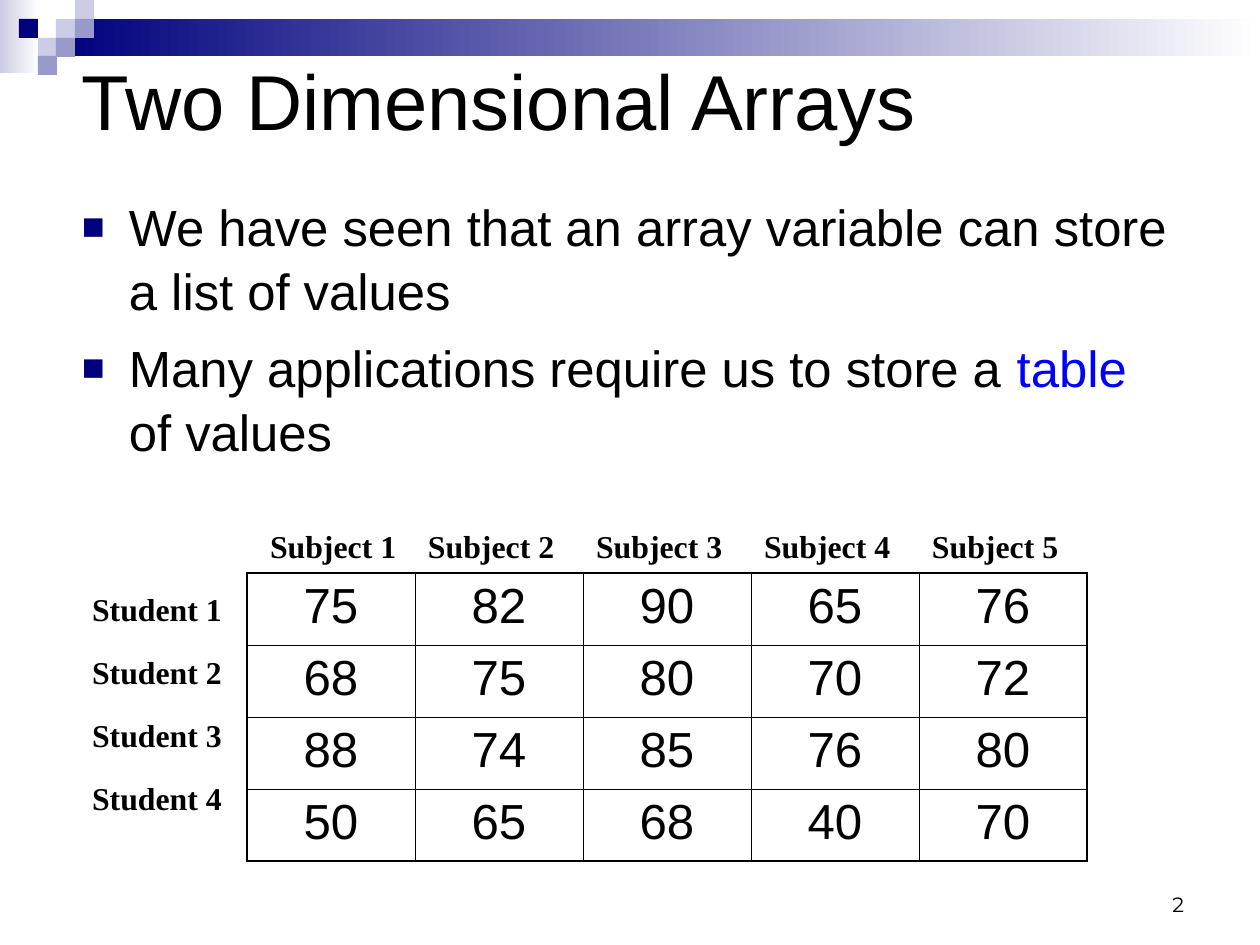
"""Build the slide that introduces two dimensional arrays with a table of marks."""
from dataclasses import dataclass

from lxml import etree
from pptx import Presentation
from pptx import util as u
from pptx.dml.color import RGBColor
from pptx.enum import shapes, text
from pptx.oxml import ns

PX = 8000
COLORS = {
    "navy": "00007D",
    "mid": "9999CC",
    "light": "CCCCE6",
    "white": "FFFFFF",
    "black": "000000",
    "blue": "0000FF",
}
TILE = 19
TILE_PITCH = 18.8
MARKS = (
    (75, 82, 90, 65, 76),
    (68, 75, 80, 70, 72),
    (88, 74, 85, 76, 80),
    (50, 65, 68, 40, 70),
)
TABLE_LEFT, TABLE_TOP, COLUMN, ROW = 247, 573, 168, 72
INNER_LINE, OUTER_LINE = 0.45, 1.08


@dataclass(frozen=True)
class Block:
    left: int
    top: int
    width: int
    height: int
    fill: str
    fade_to: str = ""


@dataclass(frozen=True)
class Caption:
    words: str
    left: int
    top: int
    width: int
    height: int
    size: int
    font: str = "Arial"
    bold: bool = False
    align: text.PP_ALIGN = text.PP_ALIGN.LEFT
    anchor: text.MSO_ANCHOR = text.MSO_ANCHOR.TOP
    spacing: float = 1.0


def px(length: int) -> u.Emu:
    return u.Emu(length * PX)


def rgb(name: str) -> RGBColor:
    return RGBColor.from_string(COLORS[name])


def tile(column: int, row: int, fill: str) -> Block:
    return Block(round(column * TILE_PITCH), round(row * TILE_PITCH), TILE, TILE, fill)


def label(words: str, left: int, top: int) -> Caption:
    return Caption(words, left, top, COLUMN, 50, 20, "Times New Roman", True)


def style(font, size: int, face: str = "Arial", bold: bool = False, color: str = "black") -> None:
    font.size = u.Pt(size)
    font.name = face
    font.bold = bold
    font.color.rgb = rgb(color)


def draw_block(slide, block: Block) -> None:
    box = slide.shapes.add_shape(
        shapes.MSO_SHAPE.RECTANGLE,
        px(block.left), px(block.top), px(block.width), px(block.height),
    )
    box.shadow.inherit = False
    box.line.fill.background()
    if block.fade_to:
        box.fill.gradient()
        box.fill.gradient_angle = 0
        for stop, color in zip(box.fill.gradient_stops, (block.fill, block.fade_to)):
            stop.color.rgb = rgb(color)
    else:
        box.fill.solid()
        box.fill.fore_color.rgb = rgb(block.fill)


def draw_caption(slide, caption: Caption):
    frame = slide.shapes.add_textbox(
        px(caption.left), px(caption.top), px(caption.width), px(caption.height)
    ).text_frame
    frame.word_wrap = True
    frame.vertical_anchor = caption.anchor
    frame.margin_left = frame.margin_right = px(13)
    frame.margin_top = frame.margin_bottom = px(7)
    frame.text = caption.words
    for paragraph in frame.paragraphs:
        paragraph.alignment = caption.align
        paragraph.line_spacing = caption.spacing
        for run in paragraph.runs:
            style(run.font, caption.size, caption.font, caption.bold)
    return frame


def add_bullet(paragraph) -> None:
    props = paragraph._p.get_or_add_pPr()
    props.set("marL", str(px(47)))
    props.set("indent", str(-px(47)))
    color = etree.SubElement(props, ns.qn("a:buClr"))
    etree.SubElement(color, ns.qn("a:srgbClr"), val=COLORS["navy"])
    etree.SubElement(props, ns.qn("a:buSzPct"), val="75000")
    etree.SubElement(props, ns.qn("a:buFont"), typeface="Arial")
    etree.SubElement(props, ns.qn("a:buChar"), char="■")


def draw_points(slide) -> None:
    frame = draw_caption(slide, Caption(
        "We have seen that an array variable can store a list of values\n"
        "Many applications require us to store a ",
        69, 186, 1114, 334, 32, spacing=1.05,
    ))
    first, second = frame.paragraphs
    for words, color in (("table", "blue"), (" of values", "black")):
        run = second.add_run()
        run.text = words
        style(run.font, 32, color=color)
    second.space_before = u.Pt(8)
    for paragraph in (first, second):
        add_bullet(paragraph)


def add_border(cell, side: str, width: float) -> None:
    line = etree.SubElement(cell._tc.get_or_add_tcPr(), ns.qn(f"a:{side}"), w=str(u.Pt(width)))
    fill = etree.SubElement(line, ns.qn("a:solidFill"))
    etree.SubElement(fill, ns.qn("a:srgbClr"), val=COLORS["black"])


def draw_marks(slide) -> None:
    rows, columns = len(MARKS), len(MARKS[0])
    table = slide.shapes.add_table(
        rows, columns, px(TABLE_LEFT), px(TABLE_TOP), px(COLUMN * columns), px(ROW * rows)
    ).table
    table.first_row = table.horz_banding = False
    for r, marks in enumerate(MARKS):
        for c, mark in enumerate(marks):
            cell = table.cell(r, c)
            cell.text = str(mark)
            cell.margin_left = cell.margin_right = px(13)
            cell.margin_top = cell.margin_bottom = px(6)
            paragraph = cell.text_frame.paragraphs[0]
            paragraph.alignment = text.PP_ALIGN.CENTER
            style(paragraph.runs[0].font, 31)
            edges = {"lnL": c == 0, "lnR": c == columns - 1, "lnT": r == 0, "lnB": r == rows - 1}
            for side, outer in edges.items():
                add_border(cell, side, OUTER_LINE if outer else INNER_LINE)
            cell.fill.background()


def main() -> None:
    deck = Presentation()
    deck.slide_width, deck.slide_height = px(1260), px(945)
    slide = deck.slides.add_slide(deck.slide_layouts[6])
    blocks = (
        Block(0, 0, 39, 73, "light", "white"),
        Block(57, 19, 1203, 37, "navy", "white"),
        tile(3, 1, "light"),
        tile(4, 0, "light"),
        tile(4, 1, "mid"),
        tile(2, 2, "light"),
        tile(1, 1, "navy"),
        tile(3, 2, "mid"),
        tile(2, 3, "mid"),
    )
    for block in blocks:
        draw_block(slide, block)
    draw_caption(slide, Caption(
        "2", 903, 861, 294, 63, 13, "Montserrat",
        align=text.PP_ALIGN.RIGHT, anchor=text.MSO_ANCHOR.BOTTOM,
    ))
    draw_caption(slide, Caption(
        "Two Dimensional Arrays", 69, 0, 1134, 190, 49,
        anchor=text.MSO_ANCHOR.MIDDLE, spacing=1.1,
    ))
    draw_points(slide)
    draw_marks(slide)
    students = [label(f"Student {i + 1}", 79, 583 + 63 * i) for i in range(len(MARKS))]
    subject_lefts = [257] + [TABLE_LEFT + COLUMN * i for i in range(1, len(MARKS[0]))]
    subjects = [label(f"Subject {i}", left, 520) for i, left in enumerate(subject_lefts, 1)]
    for caption in students + subjects:
        draw_caption(slide, caption)
    deck.save("out.pptx")


if __name__ == "__main__":
    main()
